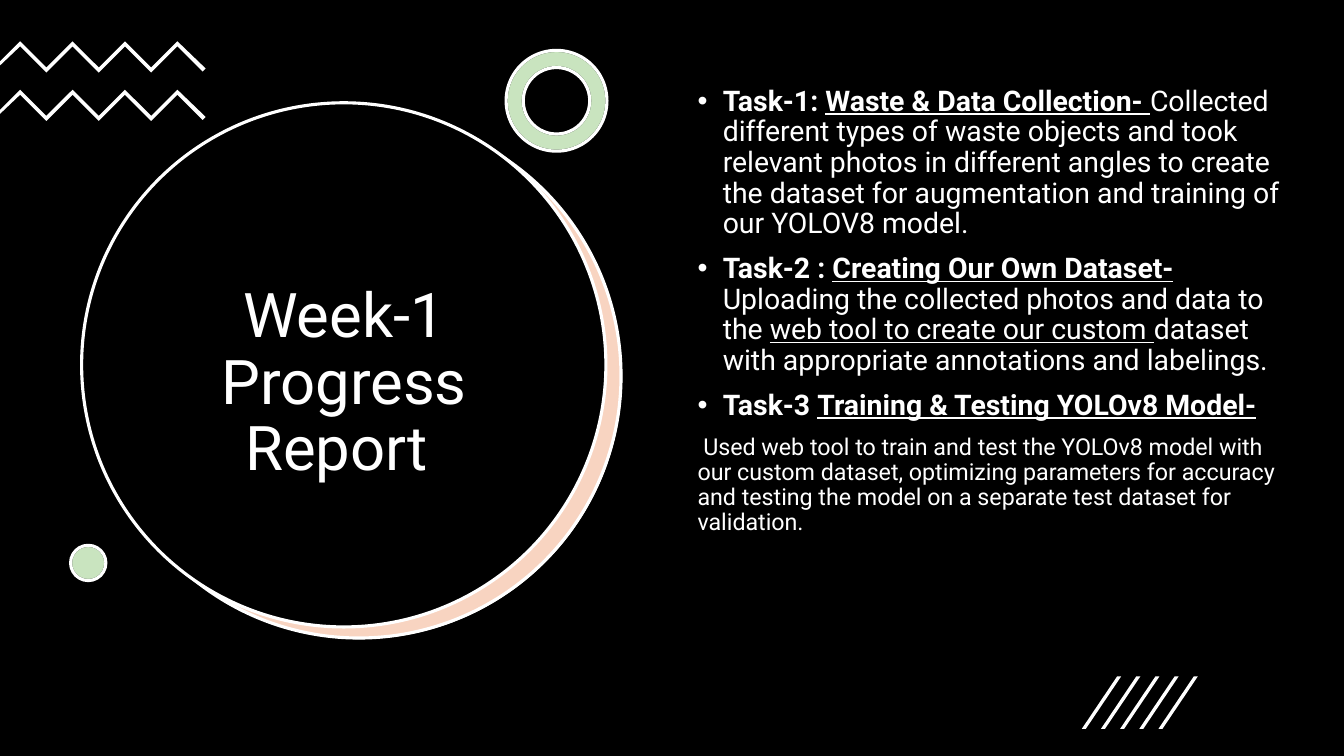
import pptx
import pptx.dml.color
import pptx.enum.shapes
import pptx.enum.text
import pptx.oxml
import pptx.oxml.ns
import pptx.util
from pptx.util import Inches

RGBColor = pptx.dml.color.RGBColor
BLACK = RGBColor(0x00, 0x00, 0x00)
WHITE = RGBColor(0xFF, 0xFF, 0xFF)
ORANGE = RGBColor(0xE9, 0x71, 0x32)
GREEN = RGBColor(0x4E, 0xA7, 0x2E)
FONT = "Roboto"
KINDS = pptx.enum.shapes.MSO_SHAPE

PLAIN, BOLD, UNDERLINED, HEADING = (False, False), (True, False), (False, True), (True, True)
TASKS = [
    [
        ("Task-1: ", BOLD),
        ("Waste & Data Collection- ", HEADING),
        ("Collected different types of waste objects and took relevant photos in different angles "
         "to create the dataset for augmentation and training of our YOLOV8 model.", PLAIN),
    ],
    [
        ("Task-2 : ", BOLD),
        ("Creating Our Own Dataset- ", HEADING),
        ("Uploading the collected photos and data to the ", PLAIN),
        ("web tool to create our custom ", UNDERLINED),
        ("dataset with appropriate annotations and labelings.", PLAIN),
    ],
    [("Task-3 ", BOLD), ("Training & Testing YOLOv8 Model-", HEADING)],
]
SUMMARY = (" Used web tool to train and test the YOLOv8 model with our custom dataset, optimizing "
           "parameters for accuracy and testing the model on a separate test dataset for validation.")


def xml_element(tag, **attributes):
    element = pptx.oxml.parse_xml(f"<{tag} {pptx.oxml.ns.nsdecls('a')}/>")
    for name, value in attributes.items():
        element.set(name, str(value))
    return element


def style_shape(shape, fill, line=None, opacity=None):
    shape.shadow.inherit = False
    shape.fill.solid()
    shape.fill.fore_color.rgb = fill
    if opacity is not None:
        color = shape.fill._xPr.find(".//" + pptx.oxml.ns.qn("a:srgbClr"))
        color.append(xml_element("a:alpha", val=opacity * 1000))
    if line is None:
        shape.line.fill.background()
    else:
        shape.line.color.rgb = line
        shape.line.width = pptx.util.Pt(2.25)


def add_preset(slide, kind, left, top, width, height, fill, line=None, opacity=None):
    shape = slide.shapes.add_shape(kind, Inches(left), Inches(top), Inches(width), Inches(height))
    style_shape(shape, fill, line, opacity)
    return shape


def add_tinted(slide, kind, left, top, size):
    base = add_preset(slide, kind, left, top, size, size, WHITE, BLACK)
    tint = add_preset(slide, kind, left, top, size, size, GREEN, WHITE, 30)
    return base, tint


def add_outline(group, points):
    corners = [(Inches(x), Inches(y)) for x, y in points]
    builder = group.shapes.build_freeform(*corners[0])
    builder.add_line_segments(corners[1:], close=True)
    style_shape(builder.convert_to_shape(), WHITE)


def add_zigzags(slide):
    group = slide.shapes.add_group_shape()
    for top in (0.41, 0.89):
        ridge = [(0.2 + 0.26 * step, top + 0.26 * (step % 2)) for step in range(7)]
        underside = [(x, y + 0.05) for x, y in reversed(ridge)]
        tip = [(2.04, top + 0.27), (2.01, top + 0.3)]
        add_outline(group, ridge + tip + underside + [(0, top + 0.24), (0, top + 0.2)])


def add_slashes(slide):
    group = slide.shapes.add_group_shape()
    for index in range(5):
        left = 10.73 + 0.19 * index
        add_outline(group, [(left + 0.04, 7.23), (left, 7.23), (left + 0.35, 6.71), (left + 0.39, 6.71)])


def add_text_box(slide, left, top, width, height):
    text_frame = slide.shapes.add_textbox(
        Inches(left), Inches(top), Inches(width), Inches(height)).text_frame
    text_frame.word_wrap = True
    return text_frame


def add_run(paragraph, text, size, style=PLAIN):
    run = paragraph.add_run()
    run.text = text
    run.font.name = FONT
    run.font.size = pptx.util.Pt(size)
    run.font.color.rgb = WHITE
    run.font.bold, run.font.underline = style


def add_bullet(paragraph):
    properties = paragraph._p.get_or_add_pPr()
    properties.set("marL", str(Inches(0.25)))
    properties.set("indent", str(-Inches(0.25)))
    color = xml_element("a:buClr")
    color.append(xml_element("a:srgbClr", val=WHITE))
    properties.append(color)
    properties.append(xml_element("a:buFont", typeface="Arial"))
    properties.append(xml_element("a:buChar", char="•"))


def add_title(slide):
    text_frame = add_text_box(slide, 1.21, 2.05, 4.41, 3.52)
    text_frame.vertical_anchor = pptx.enum.text.MSO_ANCHOR.MIDDLE
    paragraph = text_frame.paragraphs[0]
    paragraph.alignment = pptx.enum.text.PP_ALIGN.CENTER
    paragraph.line_spacing = 0.9
    add_run(paragraph, "Week-1 Progress Report ", 44)


def add_tasks(slide):
    text_frame = add_text_box(slide, 6.82, 0.81, 6.15, 5.18)
    for index, runs in enumerate(TASKS):
        paragraph = text_frame.add_paragraph() if index else text_frame.paragraphs[0]
        add_bullet(paragraph)
        for text, style in runs:
            add_run(paragraph, text, 20.3, style)
    add_run(text_frame.add_paragraph(), SUMMARY, 16.6)
    for index, paragraph in enumerate(text_frame.paragraphs):
        paragraph.line_spacing = 0.9
        paragraph.space_before = pptx.util.Pt(10 if index else 0)


def main():
    presentation = pptx.Presentation()
    presentation.slide_width = Inches(13.33)
    presentation.slide_height = Inches(7.5)
    slide = presentation.slides.add_slide(presentation.slide_layouts[6])

    add_preset(slide, KINDS.RECTANGLE, 0, 0, 13.33, 7.5, BLACK)
    add_preset(slide, KINDS.OVAL, 0.97, 1.14, 5.2, 5.2, WHITE)
    add_preset(slide, KINDS.OVAL, 0.96, 1.13, 5.2, 5.2, ORANGE, WHITE, 30)
    add_preset(slide, KINDS.OVAL, 0.81, 1.02, 5.2, 5.2, BLACK, WHITE)
    add_title(slide)
    add_zigzags(slide)
    for ring in add_tinted(slide, KINDS.DONUT, 5.02, 0.5, 1):
        ring.adjustments[0] = 0.17
    add_tinted(slide, KINDS.OVAL, 0.7, 5.41, 0.35)
    add_tasks(slide)
    add_slashes(slide)
    presentation.save("out.pptx")


if __name__ == "__main__":
    main()
